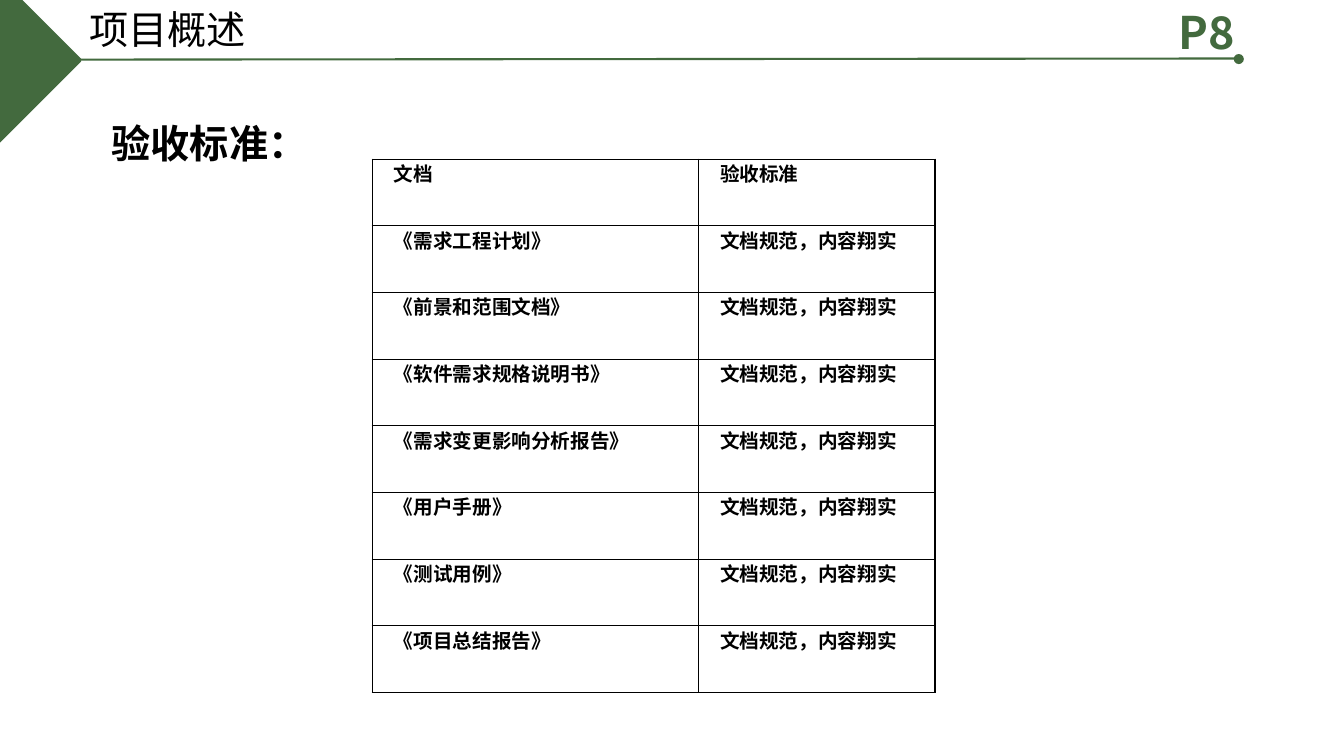
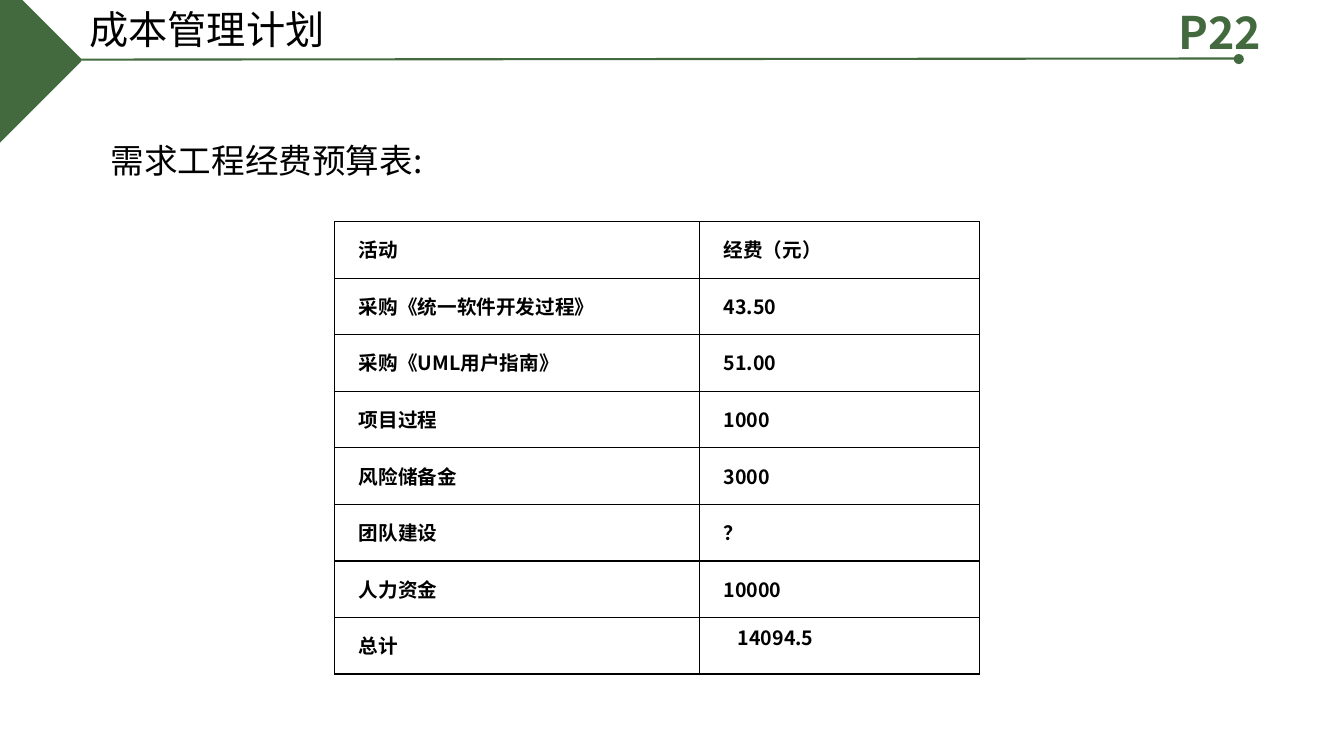
"""Build two project review slides: acceptance criteria and budget."""
import pptx
import pptx.dml.color
import pptx.enum.shapes
import pptx.enum.text
import pptx.oxml
import pptx.oxml.ns
import pptx.util

Pt = pptx.util.Pt
COLORS = {"green": "436A3E", "ink": "000000"}
CJK_FONT = "Noto Sans CJK SC"
NS = pptx.oxml.ns.nsdecls("a")

CRITERION = "文档规范，内容翔实"
DOCUMENTS = ["需求工程计划", "前景和范围文档", "软件需求规格说明书",
             "需求变更影响分析报告", "用户手册", "测试用例", "项目总结报告"]
ACCEPTANCE = [("文档", "验收标准")] + [(f"《{name}》", CRITERION) for name in DOCUMENTS]
BUDGET = [
    ("活动", "经费（元）"),
    ("采购《统一软件开发过程》", "43.50"),
    ("采购《UML用户指南》", "51.00"),
    ("项目过程", "1000"),
    ("风险储备金", "3000"),
    ("团队建设", "？"),
    ("人力资金", "10000"),
    ("总计", "14094.5"),
]


def rgb(color):
    return pptx.dml.color.RGBColor.from_string(COLORS[color])


def style_runs(paragraph, size, font=CJK_FONT, color="ink", bold=False):
    for run in paragraph.runs:
        run.font.size = Pt(size)
        run.font.bold = bold
        run.font.color.rgb = rgb(color)
        run.font.name = font
        latin = run.font._element.find(pptx.oxml.ns.qn("a:latin"))
        latin.addnext(pptx.oxml.parse_xml(f'<a:ea {NS} typeface="{CJK_FONT}"/>'))


def add_label(slide, text, left, top, width, height, size, spacing=None, **style):
    frame = slide.shapes.add_textbox(Pt(left), Pt(top), Pt(width), Pt(height)).text_frame
    frame.word_wrap = True
    frame.text = text
    if spacing:
        frame.paragraphs[0].line_spacing = spacing
    style_runs(frame.paragraphs[0], size, **style)


def paint_green(shape):
    shape.shadow.inherit = False
    shape.fill.solid()
    shape.fill.fore_color.rgb = rgb("green")
    shape.line.fill.background()


def add_header(slide, title, page):
    outline = slide.shapes.build_freeform(0, 0, scale=Pt(1))
    outline.add_line_segments([(16.5, 0), (58.5, 42.5), (58.5, 44), (0, 102)])
    paint_green(outline.convert_to_shape())
    rule = slide.shapes.add_connector(
        pptx.enum.shapes.MSO_CONNECTOR.STRAIGHT, Pt(54.8), Pt(42.6), Pt(883.4), Pt(41.8))
    rule.line.color.rgb = rgb("green")
    rule.line.width = Pt(1.5)
    rule._element.spPr.append(pptx.oxml.parse_xml(f"<a:effectLst {NS}/>"))
    paint_green(slide.shapes.add_shape(
        pptx.enum.shapes.MSO_SHAPE.OVAL, Pt(881.3), Pt(38.6), Pt(7.2), Pt(7.2)))
    add_label(slide, title, 56.9, 0, 315, 41, 28)
    add_label(slide, page, 834.5, 0, 84, 46, 32, color="green", bold=True)


def add_borders(cell):
    properties = cell._tc.get_or_add_tcPr()
    for position, side in enumerate("LRTB"):
        properties.insert(position, pptx.oxml.parse_xml(
            f'<a:ln{side} {NS} w="{Pt(1)}"><a:solidFill>'
            f'<a:srgbClr val="{COLORS["ink"]}"/></a:solidFill></a:ln{side}>'))


def format_cell(cell, text, font, indent, spacing, margin_top=0, align=None):
    cell.margin_left = cell.margin_right = Pt(5.4)
    cell.margin_top, cell.margin_bottom = Pt(margin_top), 0
    cell.fill.background()
    add_borders(cell)
    cell.text_frame.text = text
    entry = cell.text_frame.paragraphs[0]
    entry.alignment = align
    entry.line_spacing = Pt(spacing)
    entry._p.get_or_add_pPr().set("indent", str(Pt(indent)))
    style_runs(entry, 14, font, bold=True)


def add_grid(slide, rows, left, top, widths, row_height, **cell_style):
    grid = slide.shapes.add_table(
        len(rows), len(widths), Pt(left), Pt(top),
        Pt(sum(widths)), Pt(row_height * len(rows))).table
    grid.first_row = grid.horz_banding = False
    for column, width in zip(grid.columns, widths):
        column.width = Pt(width)
    for row, texts in zip(grid.rows, rows):
        row.height = Pt(row_height)
        for cell, text in zip(row.cells, texts):
            format_cell(cell, text, **cell_style)
    return grid


def add_acceptance(slide):
    add_header(slide, "项目概述", "P8")
    add_label(slide, "验收标准：", 72.7, 82, 190, 41, 28, font="Calibri", bold=True)
    add_grid(slide, ACCEPTANCE, 265.9, 113.7, (233, 169), 47.65,
             font="Times New Roman", indent=10.1, spacing=20,
             align=pptx.enum.text.PP_ALIGN.JUSTIFY)


def add_budget(slide):
    add_header(slide, "成本管理计划", "P22")
    add_label(slide, "需求工程经费预算表:", 72, 100, 792, 42, 24, spacing=0.9)
    grid = add_grid(slide, BUDGET, 239, 158.3, (260.6, 200.2), 40.4,
                    font=CJK_FONT, indent=12, spacing=12, margin_top=18)
    total = grid.cell(len(BUDGET) - 1, 1)
    total.margin_top = Pt(12)
    total.text_frame.paragraphs[0]._p.pPr.set("indent", str(Pt(22)))


def main():
    deck = pptx.Presentation()
    deck.slide_width, deck.slide_height = Pt(960), Pt(540)
    for fill_slide in (add_acceptance, add_budget):
        fill_slide(deck.slides.add_slide(deck.slide_layouts[6]))
    deck.save("out.pptx")


if __name__ == "__main__":
    main()
